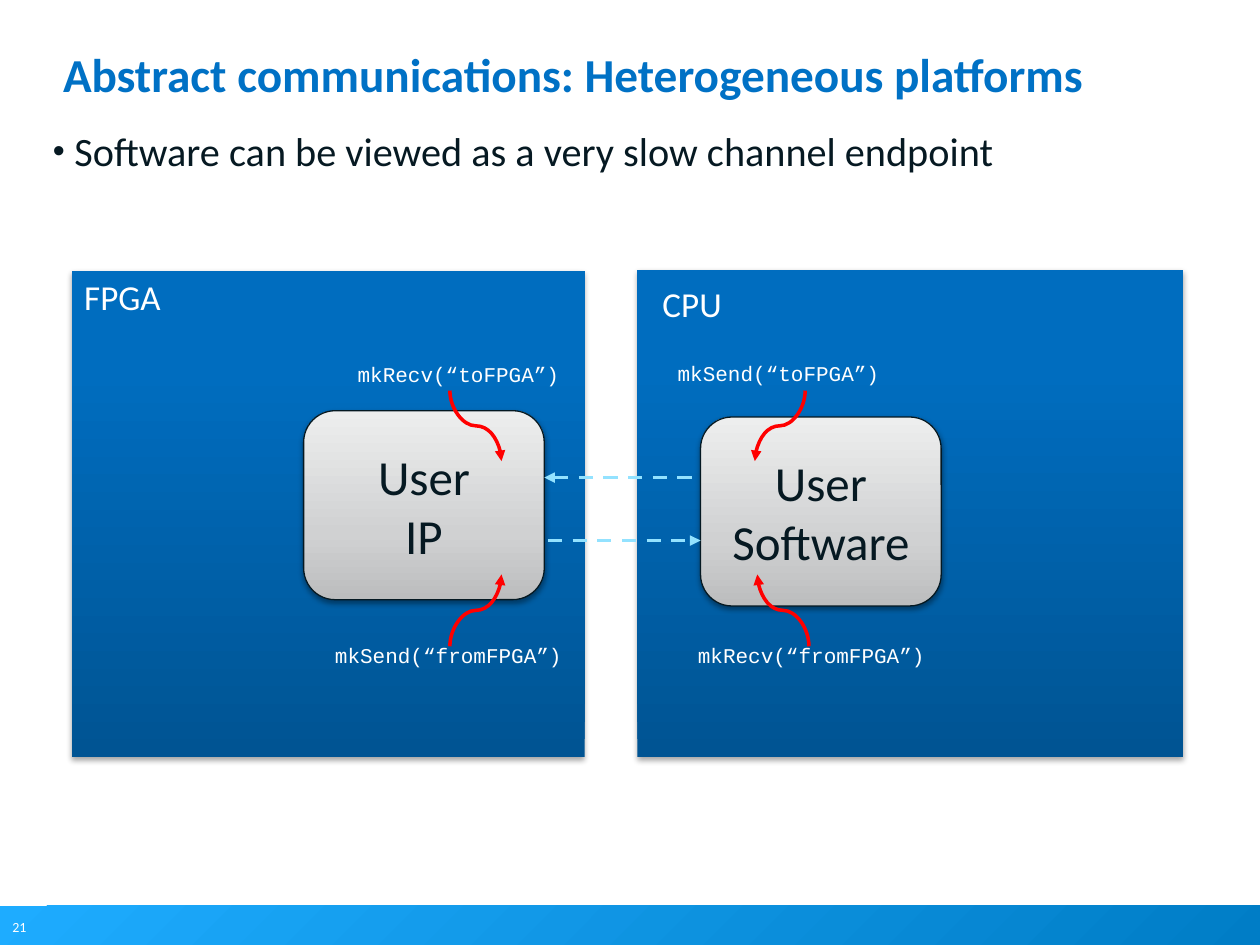
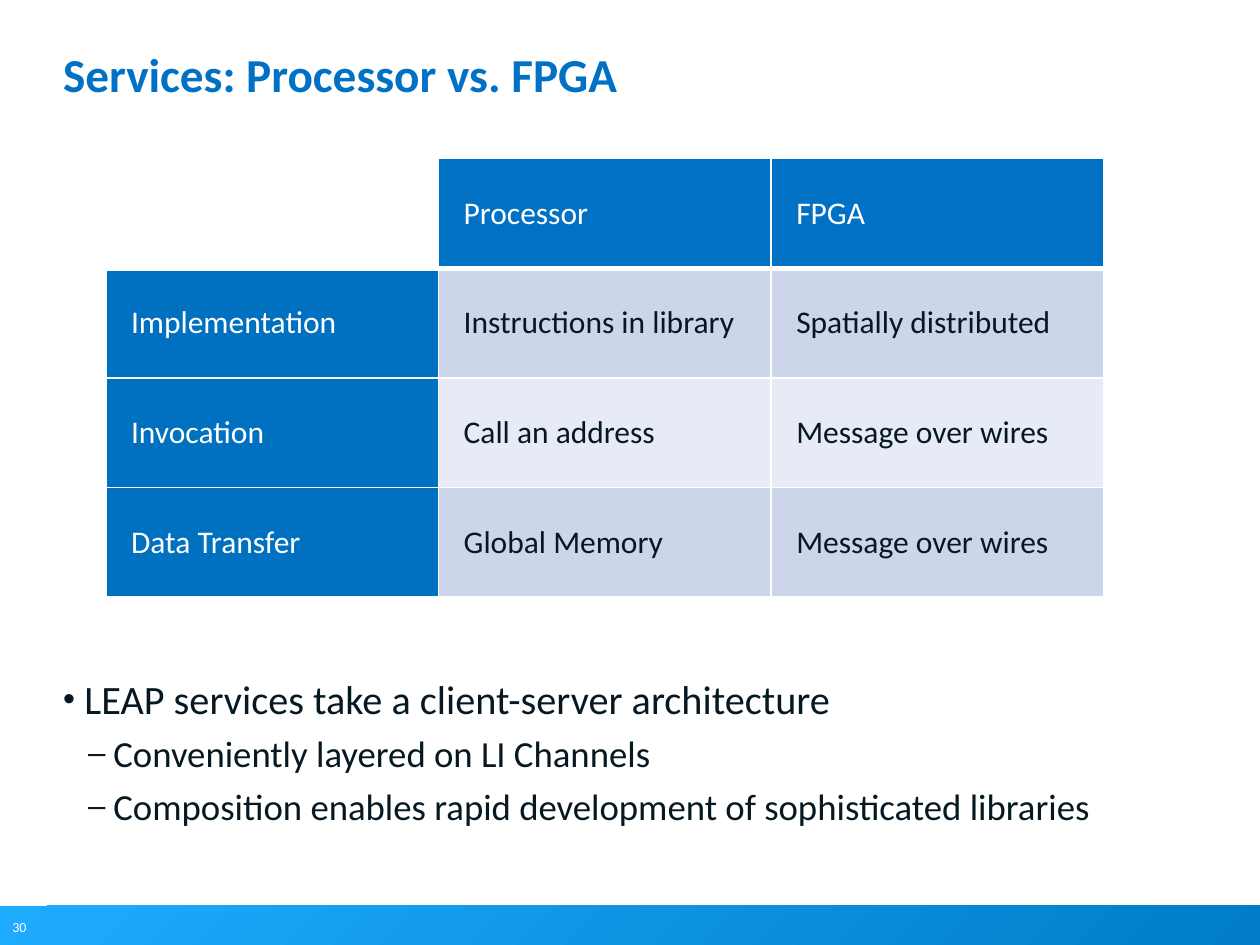
from lxml.etree import SubElement
from pptx import Presentation
from pptx.dml.color import RGBColor
from pptx.enum.dml import MSO_LINE_DASH_STYLE as DASH
from pptx.enum.shapes import MSO_CONNECTOR as CONNECTOR, MSO_SHAPE as SHAPE
from pptx.enum.text import MSO_ANCHOR as ANCHOR, MSO_AUTO_SIZE as AUTO_SIZE, PP_ALIGN as ALIGN
from pptx.oxml import parse_xml
from pptx.oxml.ns import nsdecls, qn
from pptx.util import Inches, Pt

COLORS = {
    "white": "FFFFFF", "ink": "061922", "outline": "051922", "black": "000000",
    "title": "0071C5", "row_header": "0070C0", "band_dark": "CCD5EA", "band_light": "E7EBF5",
    "footer_start": "1EACFF", "footer_end": "007DC6",
    "panel_low": "005493", "panel_mid": "006DBF", "panel_high": "006EC0",
    "box_low": "BCBDBE", "box_mid": "D0D1D2", "box_high": "EDEEEE",
    "channel": "93E2FF", "call": "FF0000",
}
FORMATS = {
    "title": {"name": "Calibri", "size": Pt(27), "bold": True},
    "bullet": {"name": "Calibri", "size": Pt(23)},
    "dash": {"name": "Calibri", "size": Pt(21)},
    "number": {"name": "Calibri", "size": Pt(8)},
    "panel": {"name": "Calibri", "size": Pt(20)},
    "box": {"name": "Calibri", "size": Pt(28)},
    "code": {"name": "Courier New", "size": Pt(12)},
    "cell": {"name": "Calibri", "size": Pt(18), "bold": False},
}
BULLETS = {  # level, left margin, hanging indent, space before, character
    "bullet": (1, 0.17, 0.17, 11, "•"),
    "dash": (2, 0.4, 0.2, 5, "–"),
}


def write_text(frame, lines, style, color, align=ALIGN.LEFT):
    """Write one paragraph per line in a named text style."""
    for index, line in enumerate(lines):
        paragraph = frame.paragraphs[0] if index == 0 else frame.add_paragraph()
        paragraph.alignment = align
        run = paragraph.add_run()
        run.text = line
        for name, value in FORMATS[style].items():
            setattr(run.font, name, value)
        run.font.color.rgb = RGBColor.from_string(COLORS[color])


def fill_gradient(shape, stops, angle, shadow=None):
    """Fill with (position, color) stops; shadow is (opacity, distance)."""
    shape.fill.gradient()
    properties = shape.element.spPr
    gradient = properties.find(qn("a:gradFill"))
    stop_list = gradient.find(qn("a:gsLst"))
    del stop_list[:]
    for position, color in stops:
        stop = SubElement(stop_list, qn("a:gs"), pos=str(position * 1000))
        SubElement(stop, qn("a:srgbClr"), val=COLORS[color])
    gradient.find(qn("a:lin")).set("ang", str(angle * 60000))
    shape.line.fill.background()
    shape.shadow.inherit = False
    if shadow:
        opacity, distance = shadow
        properties.find(qn("a:effectLst")).append(parse_xml(
            f'<a:outerShdw {nsdecls("a")} blurRad="{Pt(3.1)}" dist="{Pt(distance)}" '
            f'dir="5400000" rotWithShape="0"><a:srgbClr val="{COLORS["black"]}">'
            f'<a:alpha val="{opacity * 1000}"/></a:srgbClr></a:outerShdw>'))


presentation = Presentation()
presentation.slide_width, presentation.slide_height = Inches(10), Inches(7.5)

# Frame of every slide: footer band, number, title and list
pages = [
    (21, "Abstract communications: Heterogeneous platforms", (0.42, 1, 8.78, 1.81),
     [("bullet", "Software can be viewed as a very slow channel endpoint")]),
    (30, "Services: Processor vs. FPGA", (0.5, 5.35, 9, 5.31),
     [("bullet", "LEAP services take a client-server architecture"),
      ("dash", "Conveniently layered on LI Channels"),
      ("dash", "Composition enables rapid development of sophisticated libraries")]),
]
for number, heading, body_place, items in pages:
    slide = presentation.slides.add_slide(presentation.slide_layouts[1])

    band = slide.shapes.add_shape(
        SHAPE.RECTANGLE, Inches(0), Inches(7.19), Inches(10), Inches(0.31))
    fill_gradient(band, [(0, "footer_start"), (100, "footer_end")], 45)
    number_box = slide.shapes.add_textbox(Inches(0), Inches(7.24), Inches(0.31), Inches(0.24))
    number_box.text_frame.word_wrap = False
    write_text(number_box.text_frame, [str(number)], "number", "white")

    title, body = slide.shapes.title, slide.placeholders[1]
    for placeholder, place in ((title, (0.5, 0.45, 9, 0.97)), (body, body_place)):
        for name, value in zip(("left", "top", "width", "height"), place):
            setattr(placeholder, name, Inches(value))
        frame = placeholder.text_frame
        frame.auto_size, frame.vertical_anchor, frame.word_wrap = AUTO_SIZE.NONE, ANCHOR.TOP, True
        for side in ("left", "top", "right", "bottom"):
            setattr(frame, f"margin_{side}", 0)
    write_text(title.text_frame, [heading], "title", "title")
    title.text_frame.paragraphs[0].line_spacing = Pt(26)

    for index, (style, text) in enumerate(items):
        level, margin, hanging, space, character = BULLETS[style]
        frame = body.text_frame
        paragraph = frame.paragraphs[0] if index == 0 else frame.add_paragraph()
        paragraph.level, paragraph.space_before = level, Pt(space)
        run = paragraph.add_run()
        run.text = text
        for name, value in FORMATS[style].items():
            setattr(run.font, name, value)
        run.font.color.rgb = RGBColor.from_string(COLORS["ink"])
        properties = paragraph._p.get_or_add_pPr()
        properties.set("marL", str(Inches(margin)))
        properties.set("indent", str(-Inches(hanging)))
        bullet_color = SubElement(properties, qn("a:buClr"))
        SubElement(bullet_color, qn("a:srgbClr"), val=COLORS["ink"])
        SubElement(properties, qn("a:buSzPct"), val="85000")
        SubElement(properties, qn("a:buChar"), char=character)

platform_slide, services_slide = presentation.slides

# Platform panels
for left, top, width, height in ((5.06, 2.14, 4.33, 3.87), (0.57, 2.15, 4.07, 3.86)):
    panel = platform_slide.shapes.add_shape(
        SHAPE.RECTANGLE, Inches(left), Inches(top), Inches(width), Inches(height))
    fill_gradient(panel, [(0, "panel_low"), (80, "panel_mid"), (100, "panel_high")], 270, (35, 1.8))

# User boxes
for left, top, lines in ((2.41, 3.26, ["User", "IP"]), (5.56, 3.31, ["User", "Software"])):
    box = platform_slide.shapes.add_shape(
        SHAPE.ROUNDED_RECTANGLE, Inches(left), Inches(top), Inches(1.91), Inches(1.5))
    fill_gradient(box, [(0, "box_low"), (35, "box_mid"), (100, "box_high")], 270, (38, 1.6))
    box.line.color.rgb = RGBColor.from_string(COLORS["outline"])
    box.line.width = Pt(0.75)
    box.text_frame.vertical_anchor = ANCHOR.MIDDLE
    write_text(box.text_frame, lines, "box", "ink", ALIGN.CENTER)

# Panel names and channel calls
labels = [
    (0.57, 2.14, 2.06, 0.44, "FPGA", "panel"),
    (5.16, 2.19, 2.06, 0.44, "CPU", "panel"),
    (5.28, 2.81, 1.94, 0.3, "mkSend(“toFPGA”)", "code"),
    (2.74, 2.82, 1.94, 0.3, "mkRecv(“toFPGA”)", "code"),
    (5.44, 5.05, 2.45, 0.3, "mkRecv(“fromFPGA”)", "code"),
    (2.56, 5.05, 2.45, 0.3, "mkSend(“fromFPGA”)", "code"),
]
for left, top, width, height, text, style in labels:
    label = platform_slide.shapes.add_textbox(
        Inches(left), Inches(top), Inches(width), Inches(height))
    label.text_frame.word_wrap = True
    write_text(label.text_frame, [text], style, "white")

# Dashed channels and curved call arrows
arrows = [
    ("channel", 4.35, 4.29, 5.56, 4.29, "tailEnd"),
    ("channel", 4.32, 3.79, 5.56, 3.79, "headEnd"),
    ("call", 6.39, 3.1, 5.99, 3.66, "tailEnd"),
    ("call", 3.57, 3.1, 3.98, 3.66, "tailEnd"),
    ("call", 3.57, 5.13, 3.98, 4.56, "tailEnd"),
    ("call", 6.42, 5.13, 6.01, 4.56, "tailEnd"),
]
for kind, x1, y1, x2, y2, arrow_end in arrows:
    curved = kind == "call"
    rightward, upward = x2 > x1, y2 < y1
    if curved:  # turned a quarter, so that the curve leaves vertically
        center_x, center_y = (x1 + x2) / 2, (y1 + y2) / 2
        half_width, half_height = abs(y2 - y1) / 2, abs(x2 - x1) / 2
        if rightward:
            half_width = -half_width
        if upward:
            half_height = -half_height
        x1, x2 = center_x - half_width, center_x + half_width
        y1, y2 = center_y - half_height, center_y + half_height
    arrow = platform_slide.shapes.add_connector(
        CONNECTOR.CURVE if curved else CONNECTOR.STRAIGHT,
        Inches(x1), Inches(y1), Inches(x2), Inches(y2))
    properties = arrow.element.spPr
    if curved:
        angle = 90 if rightward == upward else 270
        properties.find(qn("a:xfrm")).set("rot", str(angle * 60000))
    arrow.line.color.rgb = RGBColor.from_string(COLORS[kind])
    arrow.line.width = Pt(2)
    if not curved:
        arrow.line.dash_style = DASH.DASH
    SubElement(properties.find(qn("a:ln")), qn(f"a:{arrow_end}"), type="triangle")
    SubElement(properties, qn("a:effectLst"))

# Services table
rows = [
    ("", "Processor", "FPGA"),
    ("Implementation", "Instructions in library", "Spatially distributed"),
    ("Invocation", "Call an address", "Message over wires"),
    ("Data Transfer", "Global Memory", "Message over wires"),
]
table = services_slide.shapes.add_table(
    4, 3, Inches(0.84), Inches(1.26), Inches(7.92), Inches(3.48)).table
table.first_row = table.horz_banding = False
for row_index, row in enumerate(rows):
    table.rows[row_index].height = Inches(0.87)
    for column_index, text in enumerate(row):
        cell = table.cell(row_index, column_index)
        cell.vertical_anchor = ANCHOR.MIDDLE
        cell.margin_left = Inches(0.2)
        for side in "LRTB":
            width = Pt(3) if row_index == 0 and side == "B" else Pt(1)
            border = SubElement(cell._tc.get_or_add_tcPr(), qn(f"a:ln{side}"), w=str(width))
            SubElement(SubElement(border, qn("a:solidFill")), qn("a:srgbClr"), val=COLORS["white"])
        if not text:
            cell.fill.background()
            continue
        if row_index == 0:
            fill, ink = "title", "white"
        elif column_index == 0:
            fill, ink = "row_header", "white"
        else:
            fill, ink = ("band_dark" if row_index % 2 else "band_light"), "ink"
        cell.fill.solid()
        cell.fill.fore_color.rgb = RGBColor.from_string(COLORS[fill])
        write_text(cell.text_frame, [text], "cell", ink)

presentation.save("out.pptx")
